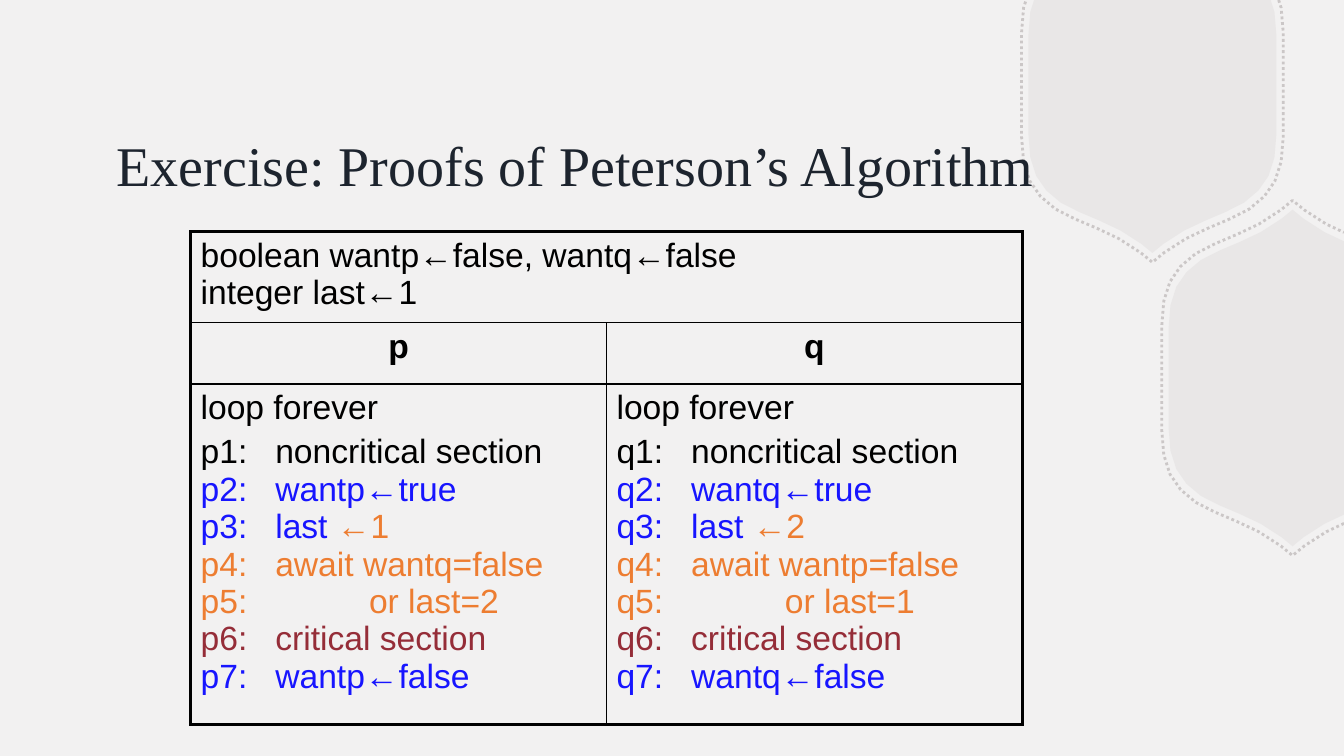
from lxml import etree
from pptx import Presentation
from pptx.dml.color import RGBColor
from pptx.enum.dml import MSO_LINE_DASH_STYLE as Dash
from pptx.enum.text import MSO_ANCHOR as Anchor, PP_ALIGN as Align
from pptx.oxml.ns import qn
from pptx.util import Inches, Pt

WIDTH, HEIGHT = 13.33, 7.5
BLACK, BLUE, ORANGE, RED, GREY = "000000", "1715FF", "ED7D31", "952D38", "B8B2B2"


def color(value):
    return RGBColor.from_string(value)


def add_span(para, text, **formats):
    span = para.add_run()
    span.text = text
    span.font.color.rgb = color(formats.pop("color", BLACK))
    for name, value in {"name": "Arial", "size": Pt(24), **formats}.items():
        setattr(span.font, name, value)


deck = Presentation()
deck.slide_width, deck.slide_height = Inches(WIDTH), Inches(HEIGHT)
page = deck.slides.add_slide(deck.slide_layouts[6])
page.background.fill.solid()
page.background.fill.fore_color.rgb = color("F2F1F1")

# Rounded hexagon: a quarter profile from tip to side, mirrored four ways
curves = [
    [(0.11, 1.58), (0.38, 1.37), (0.68, 1.31), (0.91, 1.17)],
    [(0.91, 1.17), (1.13, 1.02), (1.23, 0.84), (1.23, 0.49)],
]
STEPS = 4
quarter = [(0, 1.67), curves[0][0]]
for curve in curves:
    for step in range(1, STEPS + 1):
        t = step / STEPS
        weights = [(1 - t) ** 3, 3 * t * (1 - t) ** 2, 3 * t * t * (1 - t), t ** 3]
        quarter.append(tuple(sum(w * point[axis] for w, point in zip(weights, curve))
                             for axis in (0, 1)))
right = [(x, -y) for x, y in quarter] + quarter[:0:-1]
hexagon = right + [(-x, -y) for x, y in right]

# Two filled hexagons, each with a dotted outline, cut at the top or right edge
for scale, filled in [(1, True), (1.055, False)]:
    for center, axis, edge in [((11.43, 0.84), 1, 0), ((12.82, 3.75), 0, WIDTH)]:
        points = [(center[0] + scale * x, center[1] + scale * y) for x, y in hexagon]
        inside = [x <= WIDTH and y >= 0 for x, y in points]
        cut = next(i for i in range(len(points)) if inside[i - 1] and not inside[i])
        points = points[cut:] + points[:cut]
        inside = inside[cut:] + inside[:cut]
        visible = []
        for index, (start, kept) in enumerate(zip(points, inside)):
            following = (index + 1) % len(points)
            if kept:
                visible.append(start)
            if kept != inside[following]:
                end = points[following]
                share = (edge - start[axis]) / (end[axis] - start[axis])
                visible.append(tuple(a + share * (b - a) for a, b in zip(start, end)))
        outline = [(Inches(x), Inches(y)) for x, y in visible]
        builder = page.shapes.build_freeform(*outline[0])
        builder.add_line_segments(outline[1:], close=filled)
        shape = builder.convert_to_shape()
        shape.shadow.inherit = False
        if filled:
            shape.line.fill.background()
            paint = shape.fill
        else:
            shape.fill.background()
            shape.line.width = Pt(2)
            paint = shape.line.fill
        paint.solid()
        paint.fore_color.rgb = color(GREY)
        if not filled:
            shape.line.dash_style = Dash.ROUND_DOT
        properties = shape.element.spPr if filled else shape.element.spPr.find(qn("a:ln"))
        tint = properties.find(qn("a:solidFill"))[0]
        etree.SubElement(tint, qn("a:alpha"), val="15000" if filled else "65000")

# Title
title = page.shapes.add_textbox(Inches(1.06), Inches(1.05), Inches(9.93), Inches(1.16))
title.text_frame.word_wrap = True
title.text_frame.vertical_anchor = Anchor.MIDDLE
add_span(title.text_frame.paragraphs[0], "Exercise: Proofs of Peterson’s Algorithm",
         name="Times New Roman", size=Pt(40), color="1D242E")

# Algorithm table
frame = page.shapes.add_table(3, 2, Inches(1.89), Inches(2.3), Inches(8.25), Inches(4.89))
table = frame.table
table.first_row = table.horz_banding = False
for column in table.columns:
    column.width = Inches(8.25 / 2)
for row, height in zip(table.rows, [0.9, 0.61, 3.38]):
    row.height = Inches(height)
table.cell(0, 0).merge(table.cell(0, 1))

# Cell contents: paragraphs of lines, each line a list of (text, color)
contents = {(0, 0): [[[("boolean wantp←false, wantq←false", BLACK)],
                      [("integer last←1", BLACK)]]]}
for column, (me, other, mine, theirs) in enumerate([("p", "q", 1, 2), ("q", "p", 2, 1)]):
    contents[1, column] = [[[(me, BLACK)]]]
    steps = [
        [("noncritical section", BLACK)],
        [(f"want{me}←true", BLUE)],
        [("last ", BLUE), (f"←{mine}", ORANGE)],
        [(f"await want{other}=false", ORANGE)],
        [(f"\tor last={theirs}", ORANGE)],
        [("critical section", RED)],
        [(f"want{me}←false", BLUE)],
    ]
    code = [[(f"{me}{number}:\t{text}", tone)] + rest
            for number, ((text, tone), *rest) in enumerate(steps, 1)]
    contents[2, column] = [[[("loop forever", BLACK)]], code]

for (row, column), paragraphs in contents.items():
    text_frame = table.cell(row, column).text_frame
    for index, lines in enumerate(paragraphs):
        para = text_frame.add_paragraph() if index else text_frame.paragraphs[0]
        para.space_before = Pt(4.8)
        para.alignment = Align.CENTER if row == 1 else Align.LEFT
        for number, line in enumerate(lines):
            if number:
                para.add_line_break()
            for text, tone in line:
                add_span(para, text, color=tone, bold=row == 1)
        if index:
            stops = etree.SubElement(para._p.get_or_add_pPr(), qn("a:tabLst"))
            for stop in (0.74, 1.67):
                etree.SubElement(stops, qn("a:tab"), pos=str(Inches(stop)), algn="l")

# Cell borders: thick around the table, thin inside
for row in range(3):
    for column in range(2):
        cell = table.cell(row, column)
        borders = cell._tc.get_or_add_tcPr()
        outer = {"lnL": column == 0, "lnR": column == 1 or row == 0,
                 "lnT": row == 0, "lnB": row == 2}
        for side, thick in outer.items():
            line = etree.SubElement(borders, qn(f"a:{side}"), w=str(Pt(2.25 if thick else 1)))
            fill = etree.SubElement(line, qn("a:solidFill"))
            etree.SubElement(fill, qn("a:srgbClr"), val=BLACK)
        cell.fill.background()

deck.save("out.pptx")
